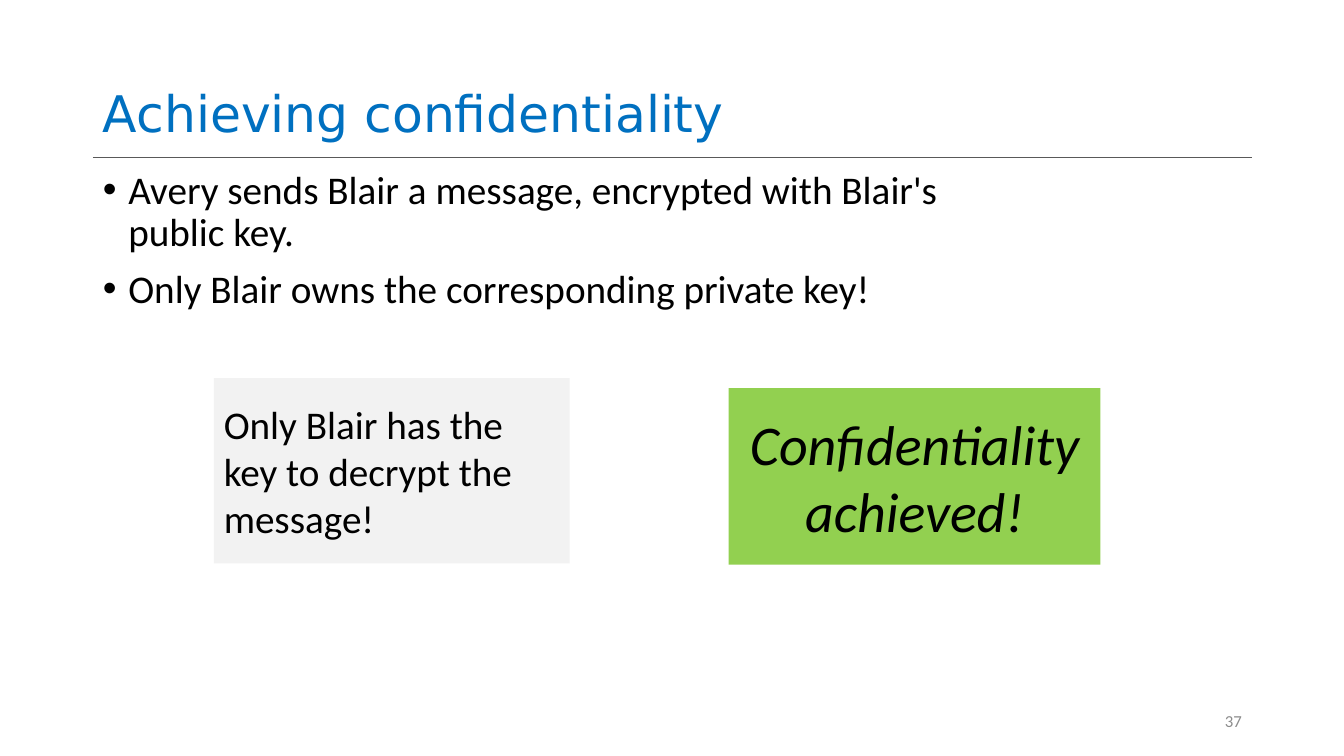
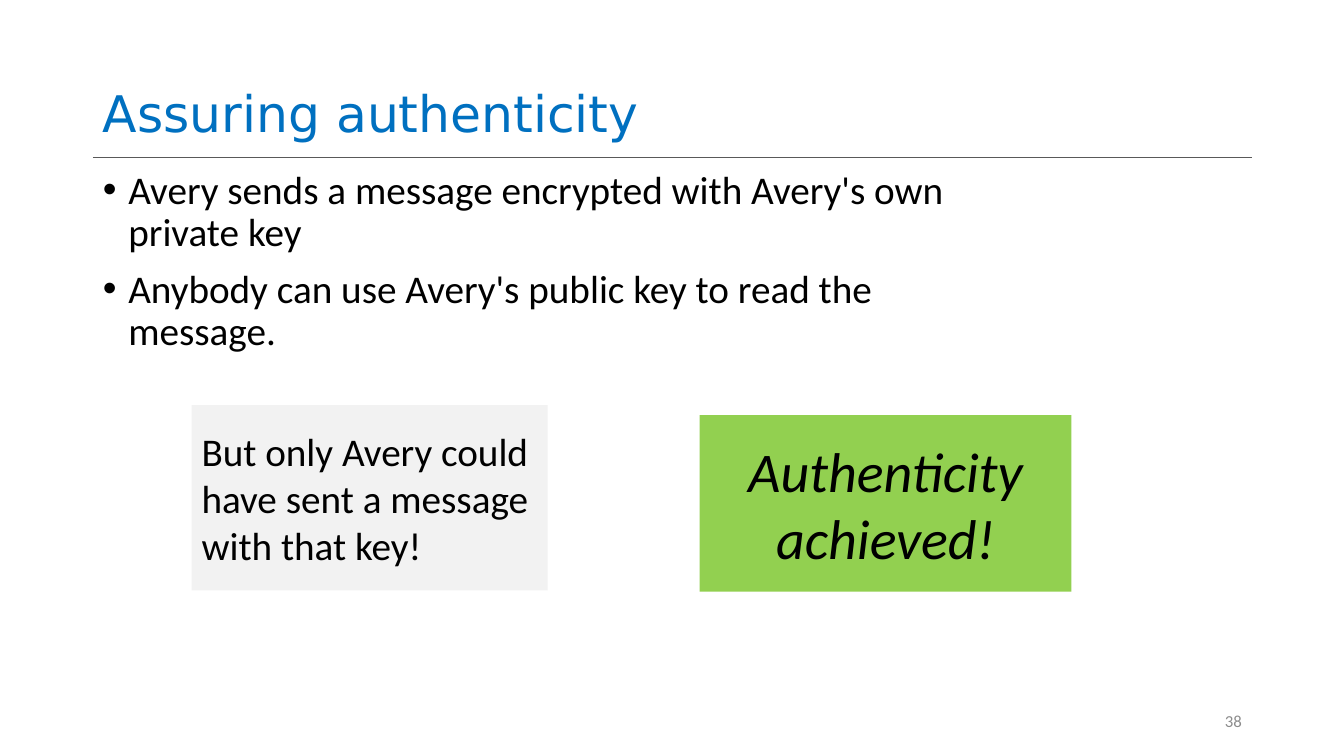
from dataclasses import dataclass

from lxml.etree import SubElement
from pptx import Presentation
from pptx.dml.color import RGBColor
from pptx.enum.shapes import MSO_CONNECTOR, MSO_SHAPE
from pptx.enum.text import MSO_ANCHOR, MSO_AUTO_SIZE, PP_ALIGN
from pptx.oxml.ns import qn
from pptx.slide import Slide
from pptx.text.text import TextFrame
from pptx.util import Cm, Pt


@dataclass(frozen=True)
class TextStyle:
    size: int
    color: str
    font: str = "Calibri"
    italic: bool = False
    alignment: PP_ALIGN = PP_ALIGN.LEFT
    line_spacing: float = 1.0


@dataclass(frozen=True)
class Theme:
    title: TextStyle = TextStyle(36, "0070C0", "DejaVu Sans", line_spacing=0.9)
    body: TextStyle = TextStyle(28, "000000", line_spacing=0.9)
    reason: TextStyle = TextStyle(28, "000000")
    verdict: TextStyle = TextStyle(
        40, "000000", italic=True, alignment=PP_ALIGN.CENTER)
    number: TextStyle = TextStyle(12, "8C8C8C", alignment=PP_ALIGN.RIGHT)
    rule: str = "595959"
    reason_fill: str = "F2F2F2"
    verdict_fill: str = "92D050"
    bullet_gap: int = 10


@dataclass(frozen=True)
class Box:
    """A rectangle in centimetres."""
    left: float
    top: float
    width: float
    height: float

    def lengths(self) -> tuple[Cm, Cm, Cm, Cm]:
        return Cm(self.left), Cm(self.top), Cm(self.width), Cm(self.height)


@dataclass(frozen=True)
class KeyLesson:
    number: int
    title: str
    bullets: tuple[str, ...]
    reason: str
    reason_box: Box
    verdict: str
    verdict_left: float


THEME = Theme()
MARGIN = 2.34
CONTENT_WIDTH = 29.21
RULE_TOP = 3.96
TITLE_BOX = Box(MARGIN, 0.05, CONTENT_WIDTH, 3.68)
BODY_BOX = Box(MARGIN, 4.17, 21.92, 12.09)
NUMBER_BOX = Box(23.93, 17.65, 7.62, 1.02)
REASON_WIDTH, REASON_HEIGHT = 8.97, 4.67
VERDICT_WIDTH, VERDICT_HEIGHT = 9.37, 4.45
VERDICT_DROP = 0.25
BULLET_INDENT = 0.64

LESSONS = (
    KeyLesson(
        37,
        "Achieving confidentiality",
        ("Avery sends Blair a message, encrypted with Blair's public key.",
         "Only Blair owns the corresponding private key!"),
        "Only Blair has the key to decrypt the message!",
        Box(5.39, 9.53, REASON_WIDTH, REASON_HEIGHT),
        "Confidentiality achieved!",
        18.36,
    ),
    KeyLesson(
        38,
        "Assuring authenticity",
        ("Avery sends a message encrypted with Avery's own private key",
         "Anybody can use Avery's public key to read the message."),
        "But only Avery could have sent a message with that key!",
        Box(4.83, 10.21, REASON_WIDTH, REASON_HEIGHT),
        "Authenticity achieved!",
        17.63,
    ),
)


def write(frame: TextFrame, texts: tuple[str, ...], style: TextStyle,
          anchor: MSO_ANCHOR, bulleted: bool = False) -> None:
    """Fill a text frame with one styled paragraph per text."""
    frame.word_wrap = True
    frame.auto_size = MSO_AUTO_SIZE.NONE
    frame.vertical_anchor = anchor
    for index, text in enumerate(texts):
        paragraph = frame.add_paragraph() if index else frame.paragraphs[0]
        paragraph.alignment = style.alignment
        paragraph.line_spacing = style.line_spacing
        paragraph.space_before = Pt(THEME.bullet_gap if index else 0)
        if bulleted:
            properties = paragraph._p.get_or_add_pPr()
            properties.set("marL", str(Cm(BULLET_INDENT)))
            properties.set("indent", str(-Cm(BULLET_INDENT)))
            SubElement(properties, qn("a:buFont"), typeface="Arial")
            SubElement(properties, qn("a:buChar"), char="•")
        run = paragraph.add_run()
        run.text = text
        run.font.name = style.font
        run.font.size = Pt(style.size)
        run.font.italic = style.italic
        run.font.color.rgb = RGBColor.from_string(style.color)


def fill_placeholder(slide: Slide, index: int, box: Box,
                     texts: tuple[str, ...], style: TextStyle,
                     anchor: MSO_ANCHOR, bulleted: bool = False) -> None:
    shape = slide.placeholders[index]
    shape.left, shape.top, shape.width, shape.height = box.lengths()
    write(shape.text_frame, texts, style, anchor, bulleted)


def add_title_rule(slide: Slide) -> None:
    rule = slide.shapes.add_connector(
        MSO_CONNECTOR.STRAIGHT, Cm(MARGIN), Cm(RULE_TOP),
        Cm(MARGIN + CONTENT_WIDTH), Cm(RULE_TOP))
    rule.line.color.rgb = RGBColor.from_string(THEME.rule)
    rule.line.width = Pt(0.5)
    SubElement(rule._element.spPr, qn("a:effectLst"))


def add_panel(slide: Slide, box: Box, text: str, style: TextStyle,
              fill: str) -> None:
    panel = slide.shapes.add_shape(MSO_SHAPE.RECTANGLE, *box.lengths())
    panel.shadow.inherit = False
    panel.fill.solid()
    panel.fill.fore_color.rgb = RGBColor.from_string(fill)
    panel.line.fill.background()
    write(panel.text_frame, (text,), style, MSO_ANCHOR.MIDDLE)


def add_lesson(presentation: Presentation, lesson: KeyLesson) -> None:
    slide = presentation.slides.add_slide(presentation.slide_layouts[1])
    add_title_rule(slide)
    fill_placeholder(slide, 0, TITLE_BOX, (lesson.title,), THEME.title,
                     MSO_ANCHOR.BOTTOM)
    fill_placeholder(slide, 1, BODY_BOX, lesson.bullets, THEME.body,
                     MSO_ANCHOR.TOP, bulleted=True)
    number = slide.shapes.add_textbox(*NUMBER_BOX.lengths())
    write(number.text_frame, (str(lesson.number),), THEME.number,
          MSO_ANCHOR.MIDDLE)
    add_panel(slide, lesson.reason_box, lesson.reason, THEME.reason,
              THEME.reason_fill)
    verdict_box = Box(lesson.verdict_left,
                      lesson.reason_box.top + VERDICT_DROP,
                      VERDICT_WIDTH, VERDICT_HEIGHT)
    add_panel(slide, verdict_box, lesson.verdict, THEME.verdict,
              THEME.verdict_fill)


def main() -> None:
    presentation = Presentation()
    presentation.slide_width = Cm(33.87)
    presentation.slide_height = Cm(19.05)
    for lesson in LESSONS:
        add_lesson(presentation, lesson)
    presentation.save("out.pptx")


if __name__ == "__main__":
    main()
